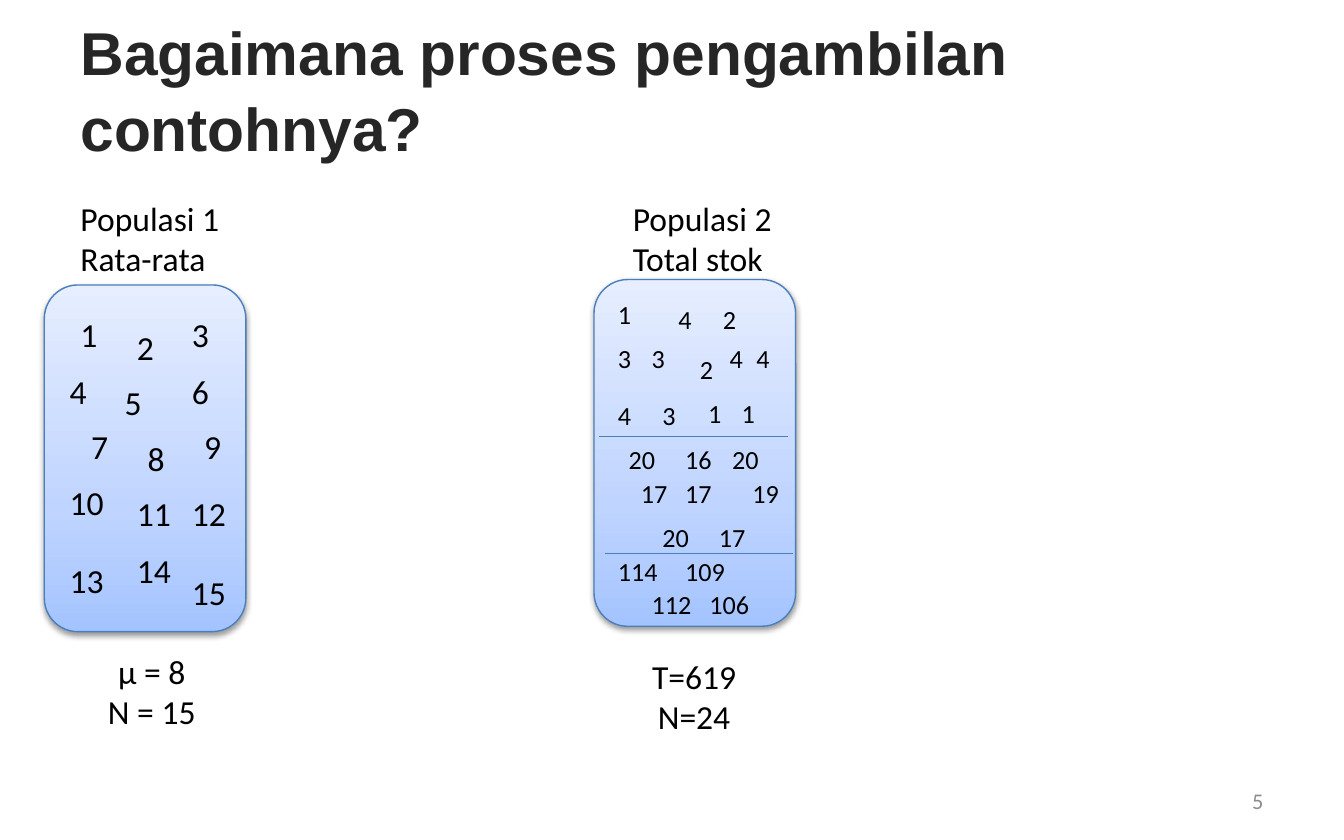
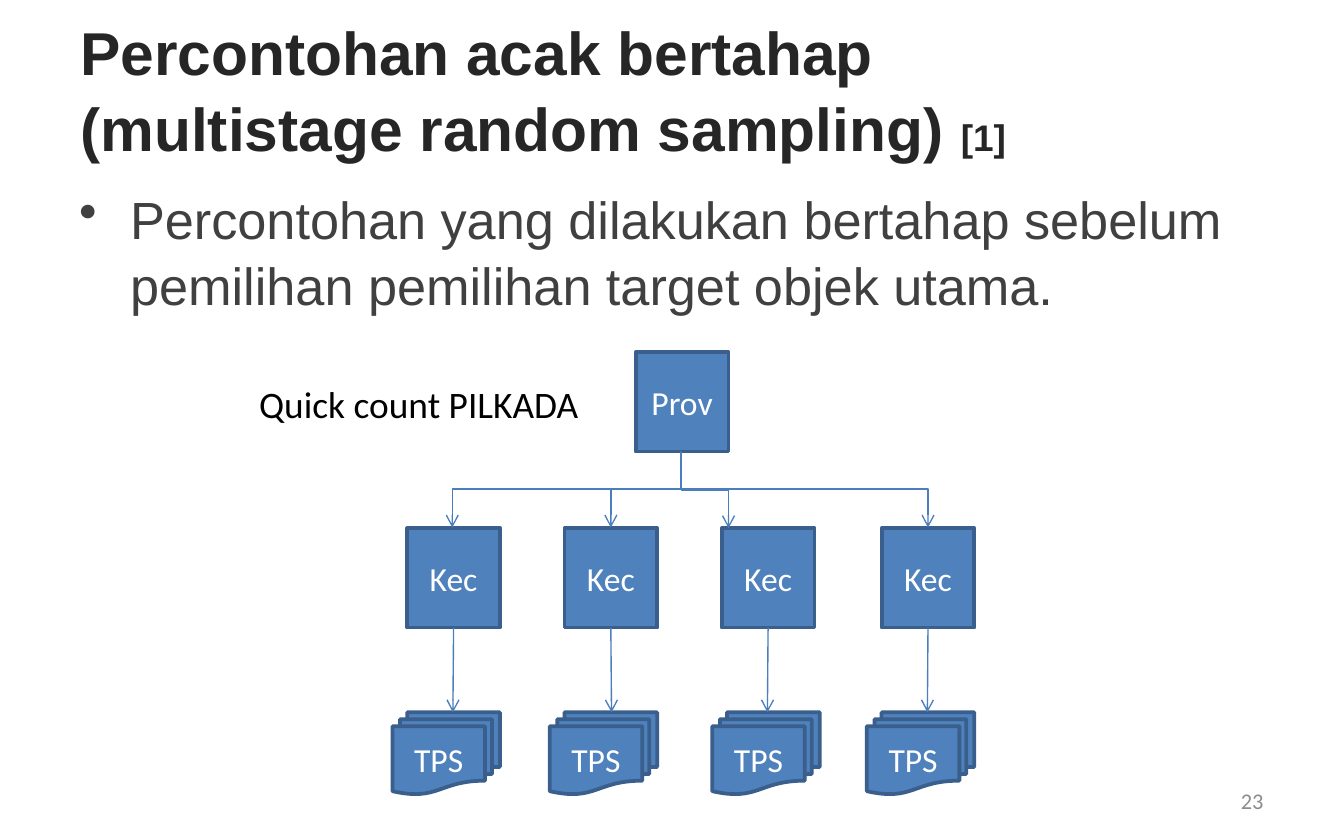
from copy import deepcopy

from pptx import Presentation
from pptx.dml.color import RGBColor
from pptx.enum.shapes import MSO_CONNECTOR as Connector, MSO_SHAPE as Shape
from pptx.enum.text import MSO_ANCHOR as Anchor, MSO_AUTO_SIZE as AutoSize, PP_ALIGN as Align
from pptx.oxml import parse_xml
from pptx.oxml.ns import nsdecls, qn
from pptx.oxml.xmlchemy import OxmlElement
from pptx.util import Pt

PX = 9144  # 100 px to the inch
COLORS = {
    "title": "262626", "body": "404040", "text": "000000", "page": "8C8C8C",
    "white": "FFFFFF", "box": "4F81BD", "border": "3A5F8C", "line": "4B7EBC",
}
GRADIENT = [(0, "A4C4FF"), (0.35, "BFD4FF"), (1, "E6EEFF")]

MEAN_POPULATION = [
    ("1", 50, 229), ("2", 92, 238), ("3", 133, 229),
    ("4", 42, 271), ("5", 83, 279), ("6", 133, 271),
    ("7", 58, 312), ("8", 100, 321), ("9", 142, 312),
    ("10", 42, 354), ("11", 92, 362), ("12", 133, 362),
    ("13", 42, 412), ("14", 92, 404), ("15", 133, 421),
]
STOCK_POPULATION = [
    ("1", 450, 217), ("4", 495, 221), ("2", 528, 221),
    ("3", 450, 250), ("3", 475, 250), ("2", 511, 258), ("4", 533, 250), ("4", 553, 250),
    ("4", 450, 292), ("3", 483, 292), ("1", 517, 291), ("1", 542, 291),
    ("20", 458, 325), ("16", 500, 325), ("20", 535, 325),
    ("17", 467, 350), ("17", 500, 350), ("19", 550, 350),
    ("20", 483, 383), ("17", 525, 383),
    ("114", 450, 408), ("109", 500, 408),
    ("112", 475, 433), ("106", 518, 433),
]
# left of district, left of its polling stations, elbow end, arrow end
BRANCHES = [
    (303, 292, 337, 337), (420, 409, 455, 455),
    (537, 530, 542, 571), (656, 645, 691, 690),
]


def color(name):
    return RGBColor.from_string(COLORS[name])


def scaled(*lengths):
    return [length * PX for length in lengths]


def style(item, size, color_name, font_name="Calibri", bold=False):
    """Format a run, or every run of a paragraph."""
    for run in getattr(item, "runs", [item]):
        run.font.name = font_name
        run.font.size = Pt(size)
        run.font.bold = bold
        run.font.color.rgb = color(color_name)


def add_text(slide, text, box, size, color_name="text", align=Align.LEFT,
             anchor=Anchor.TOP, wrap=False, font_name="Calibri", bold=False):
    text_frame = slide.shapes.add_textbox(*scaled(*box)).text_frame
    text_frame.text = text
    text_frame.word_wrap = wrap
    text_frame.auto_size = AutoSize.NONE if wrap else AutoSize.SHAPE_TO_FIT_TEXT
    text_frame.vertical_anchor = anchor
    for paragraph in text_frame.paragraphs:
        paragraph.alignment = align
        style(paragraph, size, color_name, font_name, bold)
    return text_frame


def add_frame(presentation, title, page):
    """Add a slide with its title and page number; return it with the title paragraph."""
    slide = presentation.slides.add_slide(presentation.slide_layouts[6])
    heading = add_text(slide, title, (50, 13, 900, 104), 32.4, "title",
                       anchor=Anchor.MIDDLE, wrap=True, font_name="Arial", bold=True)
    heading.paragraphs[0].line_spacing = 1.05
    add_text(slide, page, (717, 579, 233, 33), 12, "page", Align.RIGHT, Anchor.MIDDLE, True)
    return slide, heading.paragraphs[0]


def add_bullet(slide, text, box):
    paragraph = add_text(slide, text, box, 28, "body", wrap=True,
                         font_name="Arial").paragraphs[0]
    properties = paragraph._p.get_or_add_pPr()
    properties.set("marL", str(38 * PX))
    properties.set("indent", str(-38 * PX))
    bullet = OxmlElement("a:buChar")
    bullet.set("char", "•")
    properties.append(bullet)
    paragraph.line_spacing = 1.05


def add_population_box(slide, left, top):
    shape = slide.shapes.add_shape(Shape.ROUNDED_RECTANGLE, *scaled(left, top, 150, 258))
    shape.fill.gradient()
    shape.fill.gradient_angle = 90
    properties = shape._element.spPr
    stop_list = properties.find(".//" + qn("a:gsLst"))
    stop_list.append(deepcopy(stop_list[0]))
    for stop, (position, rgb) in zip(shape.fill.gradient_stops, GRADIENT):
        stop.position = position
        stop.color.rgb = RGBColor.from_string(rgb)
    shape.line.color.rgb = color("line")
    shape.line.width = Pt(0.75)
    shape.shadow.inherit = False
    properties.find(qn("a:effectLst")).append(parse_xml(
        f'<a:outerShdw {nsdecls("a")} blurRad="40000" dist="20000" dir="5400000" '
        'rotWithShape="0"><a:srgbClr val="000000"><a:alpha val="38000"/></a:srgbClr>'
        '</a:outerShdw>'))


def add_members(slide, members, size, digit_width, height):
    for value, left, top in members:
        add_text(slide, value, (left, top, 20 + digit_width * len(value), height), size)


def add_node(slide, kind, text, box):
    shape = slide.shapes.add_shape(kind, *scaled(*box))
    shape.shadow.inherit = False
    shape.fill.solid()
    shape.fill.fore_color.rgb = color("box")
    shape.line.color.rgb = color("border")
    shape.line.width = Pt(2)
    text_frame = shape.text_frame
    text_frame.text = text
    text_frame.word_wrap = False
    text_frame.vertical_anchor = Anchor.MIDDLE
    text_frame.paragraphs[0].alignment = Align.CENTER
    style(text_frame.paragraphs[0], 18, "white")
    return shape


def add_line(slide, ends, kind=Connector.STRAIGHT, arrow=False):
    connector = slide.shapes.add_connector(kind, *scaled(*ends))
    connector.line.color.rgb = color("line")
    connector.line.width = Pt(0.75)
    if arrow:
        tail = OxmlElement("a:tailEnd")
        tail.set("type", "arrow")
        connector.line._get_or_add_ln().append(tail)
    connector._element.spPr.append(OxmlElement("a:effectLst"))
    return connector


def add_elbow(slide, start_x, start_y, end_x, end_y):
    """Draw an arrow that leaves and arrives vertically, as a turned elbow."""
    drop, shift = end_y - start_y, abs(end_x - start_x)
    left = (start_x + end_x - drop) // 2
    top = (start_y + end_y - shift) // 2
    connector = add_line(slide, (left, top, left + drop, top + shift), Connector.ELBOW, True)
    transform = connector._element.spPr.find(qn("a:xfrm"))
    if end_x > start_x:
        transform.set("rot", "16200000")
        transform.set("flipH", "1")
    else:
        transform.set("rot", "5400000")


def build_populations(presentation):
    slide, _ = add_frame(presentation, "Bagaimana proses pengambilan contohnya?", "5")
    add_population_box(slide, 33, 212)
    add_text(slide, "Populasi 1\nRata-rata", (50, 142, 125, 71), 18)
    add_members(slide, MEAN_POPULATION, 18, 13, 40)
    add_text(slide, "μ = 8\nN = 15", (70, 479, 86, 71), 18, align=Align.CENTER)

    add_population_box(slide, 442, 208)
    add_text(slide, "Populasi 2\nTotal stok", (461, 142, 125, 71), 18)
    add_members(slide, STOCK_POPULATION, 14, 10, 34)
    for left, top in ((446, 325), (450, 412)):
        add_line(slide, (left, top, left + 140, top))
    add_text(slide, "T=619\nN=24", (475, 483, 83, 71), 18, align=Align.CENTER)


def build_multistage(presentation):
    slide, title = add_frame(
        presentation, "Percontohan acak bertahap\v(multistage random sampling) ", "23")
    reference = title.add_run()
    reference.text = "[1]"
    style(reference, 19.8, "title", "Arial", True)
    add_bullet(slide, "Percontohan yang dilakukan bertahap sebelum pemilihan "
                      "pemilihan target objek utama.", (49, 132, 900, 412))
    add_text(slide, "Quick count PILKADA", (183, 279, 260, 44), 20)
    add_node(slide, Shape.RECTANGLE, "Prov", (473, 262, 69, 74))
    for district_left, stations_left, elbow_end, arrow_end in BRANCHES:
        district = add_node(slide, Shape.RECTANGLE, "Kec", (district_left, 393, 69, 74))
        add_node(slide, Shape.FLOWCHART_MULTIDOCUMENT, "TPS", (stations_left, 530, 80, 61))
        add_elbow(slide, 507, 336, elbow_end, 393)
        arrow = add_line(slide, (arrow_end, 467, arrow_end, 530), arrow=True)
        arrow.begin_connect(district, 2)


def main():
    presentation = Presentation()
    presentation.slide_width, presentation.slide_height = scaled(1000, 625)
    build_populations(presentation)
    build_multistage(presentation)
    presentation.save("out.pptx")


if __name__ == "__main__":
    main()
